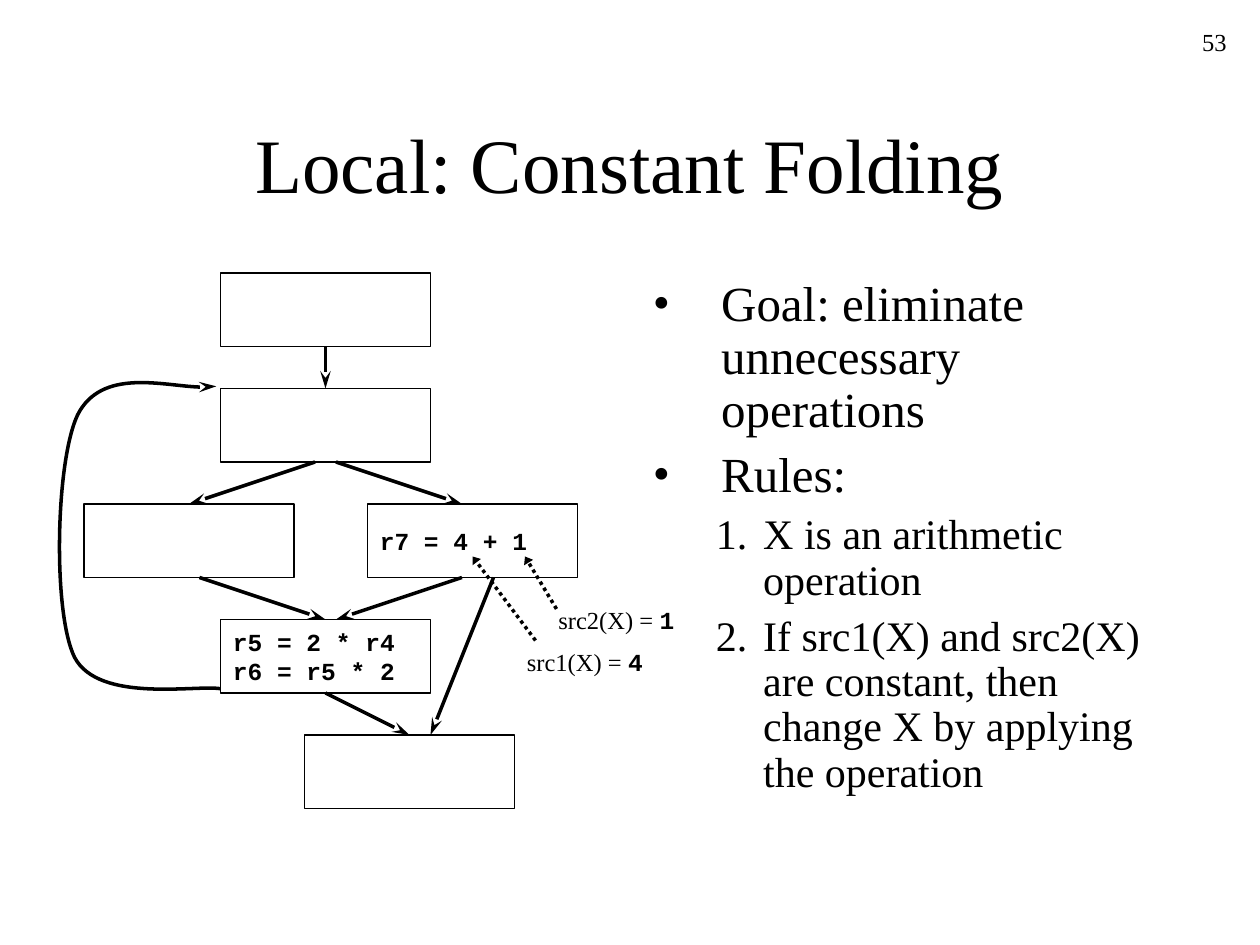
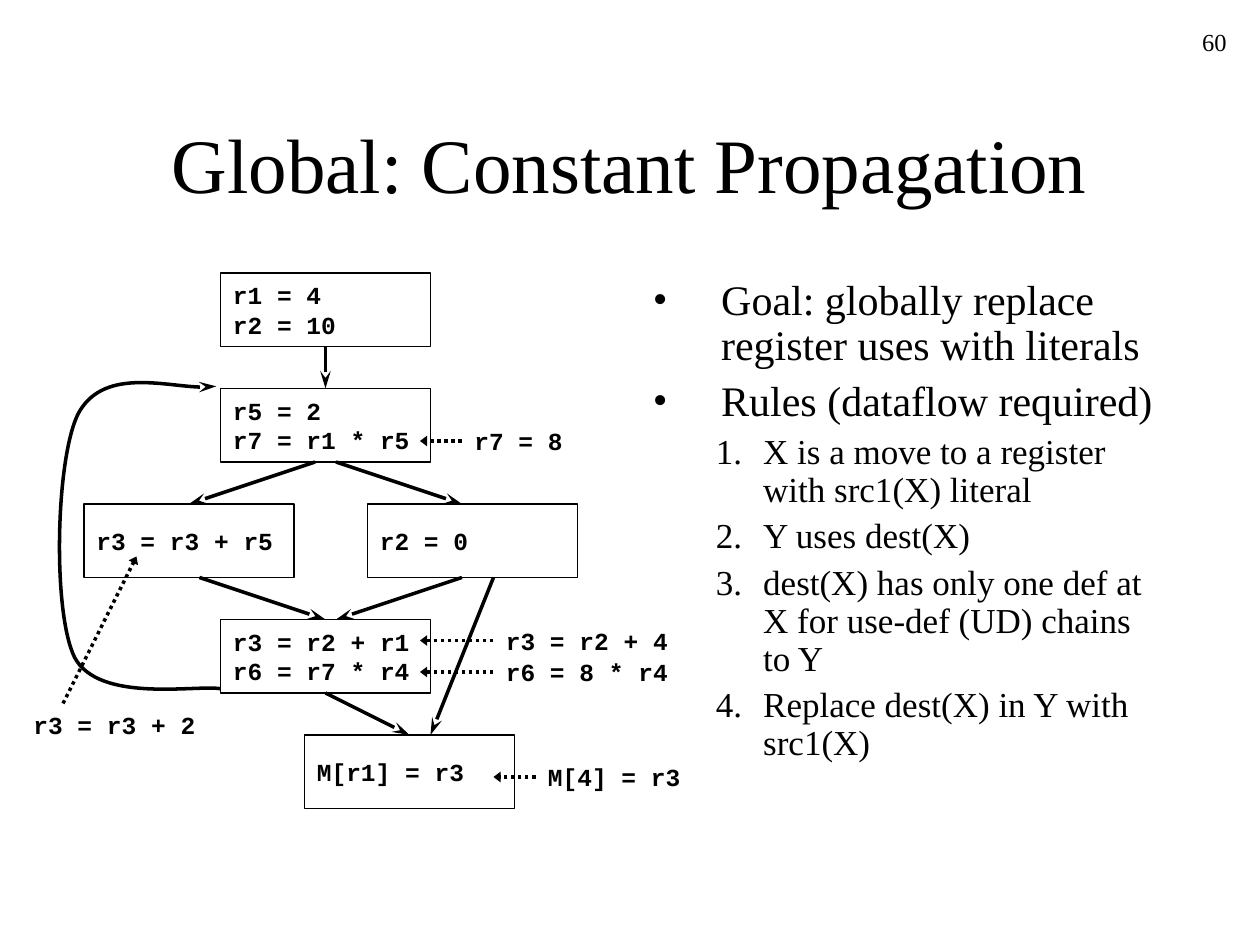
"""Build two slides on constant folding and constant propagation."""
from lxml import etree
from pptx import Presentation
from pptx.dml.color import RGBColor
from pptx.enum.dml import MSO_LINE
from pptx.enum.shapes import MSO_CONNECTOR, MSO_SHAPE
from pptx.enum.text import MSO_ANCHOR, MSO_AUTO_SIZE, PP_ALIGN
from pptx.oxml.ns import qn
from pptx.util import Pt

RECT, LINE = MSO_SHAPE.RECTANGLE, MSO_CONNECTOR.STRAIGHT
DOT, SOLID = MSO_LINE.ROUND_DOT, MSO_LINE.SOLID
TOP, MID = MSO_ANCHOR.TOP, MSO_ANCHOR.MIDDLE
FIT = MSO_AUTO_SIZE.SHAPE_TO_FIT_TEXT
LEFT, MAIN, RIGHT = PP_ALIGN.LEFT, PP_ALIGN.CENTER, PP_ALIGN.RIGHT

PX = 7620
INK = RGBColor.from_string("000000")
SERIF = {"name": "Times New Roman", "size": Pt(14), "bold": False}
CODE = {"name": "Courier New", "size": Pt(14), "bold": True}
WIDE, TALL, STEP = 200, 70, 110
SPOTS = [(210, 0), (210, 1), (80, 2), (350, 2), (210, 3), (290, 4)]
FLOWS = [(310, 330, 310, 370), (300, 440, 180, 480), (320, 440, 440, 480),
         (190, 550, 310, 590), (440, 550, 320, 590), (310, 660, 390, 700),
         (470, 550, 410, 700)]
LOOP = [(210, 656), (187, 652), (94, 670), (71, 626), (50, 583), (53, 439),
        (74, 395), (97, 350), (179, 373), (206, 368)]

SLIDES = [
    {"page": "53", "title": "Local: Constant Folding", "size": 28,
     "code": ["", "", "", "r7 = 4 + 1", "r5 = 2 * r4\nr6 = r5 * 2", ""],
     "goals": ["Goal: eliminate unnecessary operations", "Rules:"],
     "rules": ["X is an arithmetic operation",
               "If src1(X) and src2(X) are constant, then change X by "
               "applying the operation"],
     "notes": [(490, 610, "src1(X) = ", "4"), (520, 570, "src2(X) = ", "1")],
     "dots": [(510, 610, 450, 530), (530, 580, 500, 530)]},
    {"page": "60", "title": "Global: Constant Propagation", "size": 24,
     "code": ["r1 = 4\nr2 = 10", "r5 = 2\nr7 = r1 * r5", "r3 = r3 + r5",
              "r2 = 0", "r3 = r2 + r1\nr6 = r7 * r4", "M[r1] = r3"],
     "goals": ["Goal: globally replace register uses with literals",
               "Rules (dataflow required)"],
     "rules": ["X is a move to a register with src1(X) literal",
               "Y uses dest(X)",
               "dest(X) has only one def at X for use-def (UD) chains to Y",
               "Replace dest(X) in Y with src1(X)"],
     "notes": [(440, 400, "", "r7 = 8"), (20, 670, "", "r3 = r3 + 2"),
               (510, 720, "", "M[4] = r3"), (470, 590, "", "r3 = r2 + 4"),
               (470, 620, "", "r6 = 8 * r4")],
     "dots": [(440, 420, 400, 420), (60, 670, 130, 530),
              (510, 740, 470, 740), (470, 610, 400, 610),
              (470, 640, 400, 640)]},
]


def write(para, text, look):
    """Add text to a paragraph, with a line break at each newline."""
    for num, part in enumerate(text.split("\n")):
        if num:
            para.add_line_break()
            gap = para._p.findall(qn("a:br"))[-1]
            size = str(int(look["size"].pt * 100))
            etree.SubElement(gap, qn("a:rPr"), sz=size)
        run = para.add_run()
        run.text = part
        run.font.color.rgb = INK
        for key, val in look.items():
            setattr(run.font, key, val)


def stroke(shape, width, dash=SOLID, head=None, size="lg"):
    """Style an outline, with an arrowhead at its end if one is named."""
    line = shape.line
    line.color.rgb = INK
    for key, val in {"width": Pt(width), "dash_style": dash}.items():
        setattr(line, key, val)
    if head:
        etree.SubElement(line._get_or_add_ln(), qn("a:tailEnd"),
                         type=head, w="med", len=size)


deck = Presentation()
deck.slide_width, deck.slide_height = 1200 * PX, 900 * PX

for data in SLIDES:
    slide = deck.slides.add_slide(deck.slide_layouts[6])
    shapes = slide.shapes

    heads = [((90, 80, 1020, 150), data["title"], 44, MAIN, MID),
             ((930, 20, 250, 60), data["page"], 14, RIGHT, TOP)]
    for place, text, size, side, anchor in heads:
        frame = shapes.add_textbox(*[n * PX for n in place]).text_frame
        frame.word_wrap, frame.vertical_anchor = True, anchor
        frame.paragraphs[0].alignment = side
        write(frame.paragraphs[0], text, SERIF | {"size": Pt(size)})

    for (left, row), text in zip(SPOTS, data["code"]):
        place = (left, 260 + row * STEP, WIDE, TALL)
        box = shapes.add_shape(RECT, *[n * PX for n in place])
        box.shadow.inherit = False
        box.fill.background()
        stroke(box, 0.75)
        if text:
            frame = box.text_frame
            frame.word_wrap, frame.vertical_anchor = True, MID
            frame.paragraphs[0].alignment = LEFT
            write(frame.paragraphs[0], text, CODE)

    pen = shapes.build_freeform(*LOOP[0], scale=float(PX))
    pen.add_line_segments(LOOP[1:], close=False)
    loop = pen.convert_to_shape()
    loop.shadow.inherit = False
    loop.fill.background()
    stroke(loop, 2, head="stealth")
    track = loop._element.find(".//" + qn("a:path"))
    legs = track.findall(qn("a:lnTo"))
    for num in range(0, len(legs), 3):
        bend = etree.SubElement(track, qn("a:cubicBezTo"))
        for leg in legs[num:num + 3]:
            bend.append(leg[0])
            track.remove(leg)

    kinds = [(FLOWS, SOLID, "stealth", "lg"),
             (data["dots"], DOT, "triangle", "sm")]
    for ends, dash, head, size in kinds:
        for end in ends:
            link = shapes.add_connector(LINE, *[n * PX for n in end])
            stroke(link, 2, dash, head, size)
            etree.SubElement(link._element.spPr, qn("a:effectLst"))

    for left, top, lead, text in data["notes"]:
        wide = 144 if lead else 14 * len(text) + 34
        place = (left, top, wide, 41)
        frame = shapes.add_textbox(*[n * PX for n in place]).text_frame
        frame.word_wrap, frame.auto_size = True, FIT
        if lead:
            write(frame.paragraphs[0], lead, SERIF)
        write(frame.paragraphs[0], text, CODE)

    place = (610, 260, 500, 540)
    frame = shapes.add_textbox(*[n * PX for n in place]).text_frame
    frame.word_wrap = True
    size = data["size"]
    lists = [(data["goals"], size, 0, 65, 65, "buChar", {"char": "•"}),
             (data["rules"], size - 4, 1, 105, 45, "buAutoNum",
              {"type": "arabicPeriod"})]
    for items, size, level, left, hang, mark, look in lists:
        for text in items:
            first = not frame.text
            para = frame.paragraphs[0] if first else frame.add_paragraph()
            form = {"level": level, "line_spacing": 0.9,
                    "space_before": Pt(0 if first else size // 4)}
            for key, val in form.items():
                setattr(para, key, val)
            props = para._p.get_or_add_pPr()
            props.set("marL", str(left * PX))
            props.set("indent", str(-hang * PX))
            etree.SubElement(props, qn("a:buFont"), typeface=SERIF["name"])
            etree.SubElement(props, qn("a:" + mark), look)
            write(para, text, SERIF | {"size": Pt(size)})

deck.save("out.pptx")
